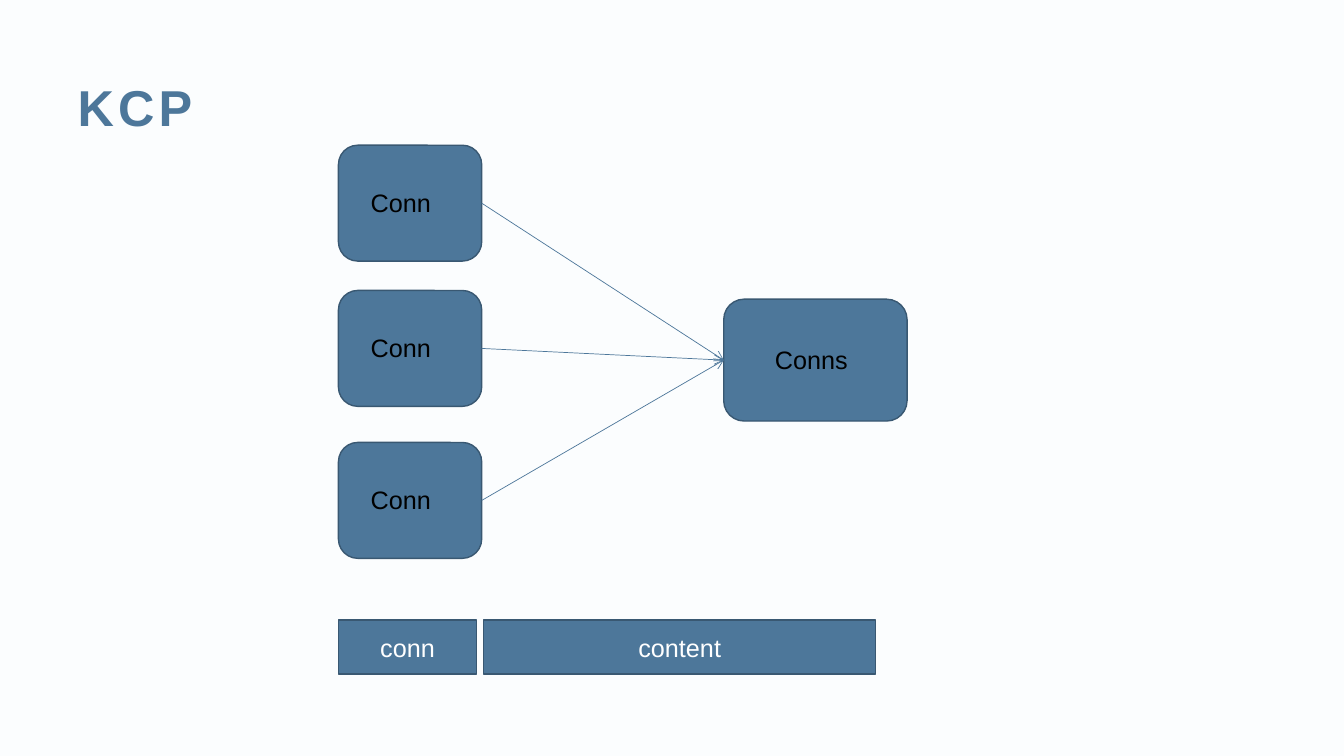
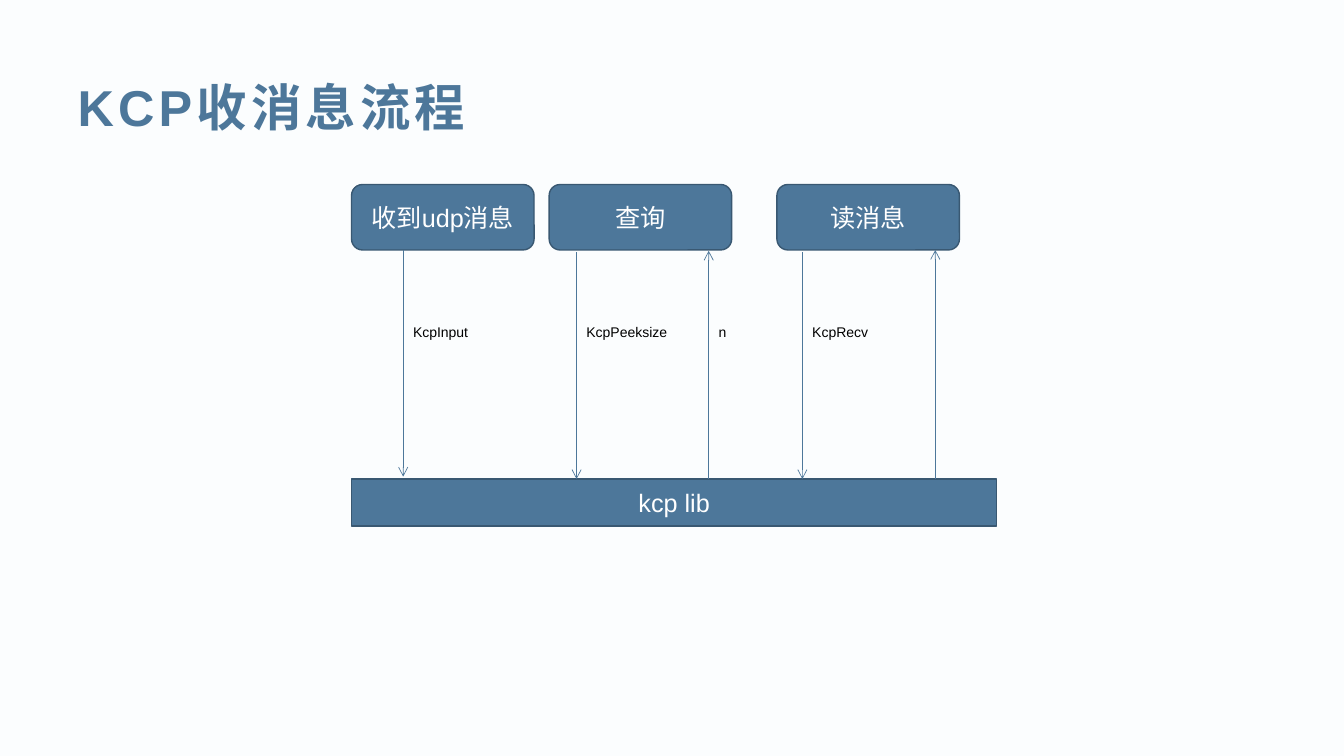
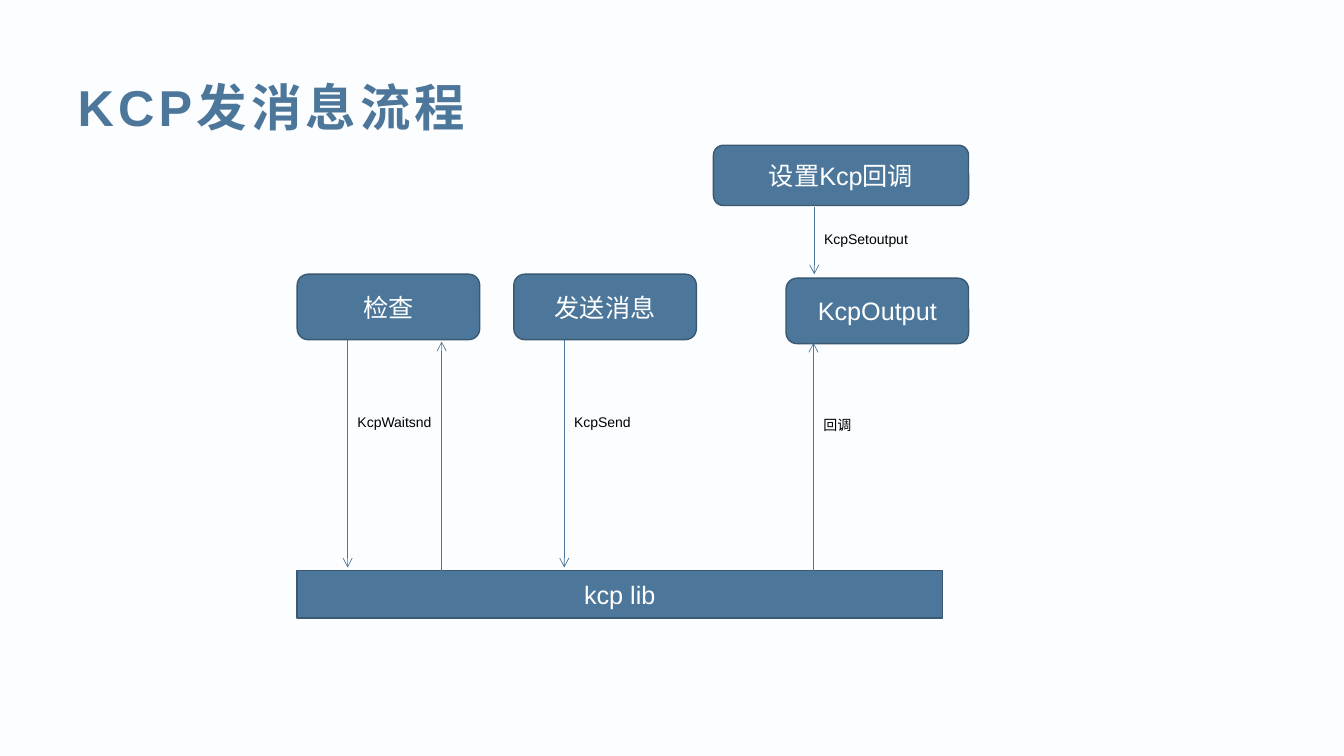
from dataclasses import dataclass

from lxml.etree import SubElement
from pptx import Presentation
from pptx.dml.color import RGBColor
from pptx.enum.shapes import MSO_CONNECTOR, MSO_SHAPE
from pptx.enum.text import MSO_ANCHOR, MSO_AUTO_SIZE, PP_ALIGN
from pptx.oxml.ns import qn
from pptx.util import Cm, Pt

COLORS = {
    "background": "FBFDFE",
    "main": "4D779A",
    "outline": "395872",
    "light": "FFFFFF",
    "dark": "000000",
}
FONT = "Arial"
LEFT_SIDE, RIGHT_SIDE = 1, 3


@dataclass(frozen=True)
class Box:
    text: str
    left: float
    top: float
    width: float = 4.6
    height: float = 1.65
    rounded: bool = True


@dataclass(frozen=True)
class Call:
    x: float
    start: float
    end: float
    label: str = ""
    label_top: float = 0


@dataclass(frozen=True)
class Flow:
    title: str
    boxes: tuple[Box, ...]
    calls: tuple[Call, ...]


def color(name: str) -> RGBColor:
    return RGBColor.from_string(COLORS[name])


def write(frame, text: str, *, size: float = 18, ink: str = "light", bold: bool = False,
          align=PP_ALIGN.CENTER, anchor=MSO_ANCHOR.MIDDLE, spacing: float = 0,
          fit=MSO_AUTO_SIZE.NONE) -> None:
    frame.word_wrap = True
    frame.auto_size = fit
    frame.vertical_anchor = anchor
    paragraph = frame.paragraphs[0]
    paragraph.alignment = align
    run = paragraph.add_run()
    run.text = text
    run.font.name = FONT
    run.font.size = Pt(size)
    run.font.bold = bold
    run.font.color.rgb = color(ink)
    if spacing:
        run._r.get_or_add_rPr().set("spc", str(round(spacing * 100)))


def add_titled_slide(deck, title: str):
    slide = deck.slides.add_slide(deck.slide_layouts[5])
    heading = slide.shapes.title
    heading.left, heading.top = Cm(1.7), Cm(1.7)
    heading.width, heading.height = Cm(31.19), Cm(1.96)
    write(heading.text_frame, title, size=36, ink="main", bold=True,
          align=PP_ALIGN.LEFT, spacing=3)
    return slide


def add_box(slide, box: Box):
    preset = MSO_SHAPE.ROUNDED_RECTANGLE if box.rounded else MSO_SHAPE.RECTANGLE
    shape = slide.shapes.add_shape(
        preset, Cm(box.left), Cm(box.top), Cm(box.width), Cm(box.height))
    shape.shadow.inherit = False
    shape.fill.solid()
    shape.fill.fore_color.rgb = color("main")
    shape.line.color.rgb = color("outline")
    shape.line.width = Pt(1)
    if box.text:
        write(shape.text_frame, box.text)
    return shape


def add_label(slide, text: str, left: float, top: float, width: float, height: float,
              size: float) -> None:
    label = slide.shapes.add_textbox(Cm(left), Cm(top), Cm(width), Cm(height))
    write(label.text_frame, text, size=size, ink="dark", align=PP_ALIGN.LEFT,
          anchor=MSO_ANCHOR.TOP, fit=MSO_AUTO_SIZE.SHAPE_TO_FIT_TEXT)


def add_arrow(slide, x1: float = 0, y1: float = 0, x2: float = 0, y2: float = 0):
    arrow = slide.shapes.add_connector(
        MSO_CONNECTOR.STRAIGHT, Cm(x1), Cm(y1), Cm(x2), Cm(y2))
    arrow.line.color.rgb = color("main")
    arrow.line.width = Pt(0.5)
    SubElement(arrow.line._get_or_add_ln(), qn("a:tailEnd"), type="arrow")
    SubElement(arrow._element.spPr, qn("a:effectLst"))
    return arrow


def add_overview(deck) -> None:
    slide = add_titled_slide(deck, "KCP")
    left = 8.53
    pool = add_box(slide, Box("", 18.24, 7.54, 4.62, 3.07))
    add_label(slide, "Conns", 19.28, 8.56, 3.61, 1.02, 18)
    for top in (3.66, 7.32, 11.15):
        connection = add_box(slide, Box("", left, top, 3.61, 2.92))
        add_label(slide, "Conn", left + 0.56, top + 0.94, 2.49, 1.02, 18)
        arrow = add_arrow(slide)
        arrow.begin_connect(connection, RIGHT_SIDE)
        arrow.end_connect(pool, LEFT_SIDE)
    add_box(slide, Box("conn", left, 15.62, 3.48, 1.37, rounded=False))
    add_box(slide, Box("content", 12.19, 15.62, 9.88, 1.37, rounded=False))


def add_flow(deck, flow: Flow) -> None:
    slide = add_titled_slide(deck, flow.title)
    for box in flow.boxes:
        add_box(slide, box)
    for call in flow.calls:
        add_arrow(slide, call.x, call.start, call.x, call.end)
        if call.label:
            add_label(slide, call.label, call.x, call.label_top, 3.33, 0.69, 10)


def library(left: float, top: float) -> Box:
    return Box("kcp lib", left, top, 16.26, 1.19, rounded=False)


RECEIVING = Flow(
    "KCP收消息流程",
    (
        library(8.86, 12.07),
        Box("收到udp消息", 8.86, 4.65),
        Box("查询", 13.84, 4.65),
        Box("读消息", 19.58, 4.65),
    ),
    (
        Call(10.16, 6.3, 12.01, "KcpInput", 8.03),
        Call(14.53, 6.35, 12.07, "KcpPeeksize", 8.03),
        Call(17.86, 12.07, 6.32, "n", 8.03),
        Call(20.22, 6.35, 12.07, "KcpRecv", 8.03),
        Call(23.57, 12.07, 6.3),
    ),
)

SENDING = Flow(
    "KCP发消息流程",
    (
        library(7.49, 14.38),
        Box("检查", 7.49, 6.91),
        Box("发送消息", 12.95, 6.91),
        Box("KcpOutput", 19.81, 7.01),
        Box("设置Kcp回调", 17.98, 3.66, 6.43, 1.52),
    ),
    (
        Call(8.76, 8.56, 14.3, "KcpWaitsnd", 10.29),
        Call(11.13, 14.38, 8.61),
        Call(14.22, 8.56, 14.3, "KcpSend", 10.29),
        Call(20.5, 14.4, 8.64, "回调", 10.36),
        Call(20.52, 5.21, 6.91, "KcpSetoutput", 5.69),
    ),
)


def main() -> None:
    deck = Presentation()
    deck.slide_width, deck.slide_height = Cm(33.87), Cm(19.05)
    backdrop = deck.slide_master.background.fill
    backdrop.solid()
    backdrop.fore_color.rgb = color("background")
    add_overview(deck)
    for flow in (RECEIVING, SENDING):
        add_flow(deck, flow)
    deck.save("out.pptx")


if __name__ == "__main__":
    main()
